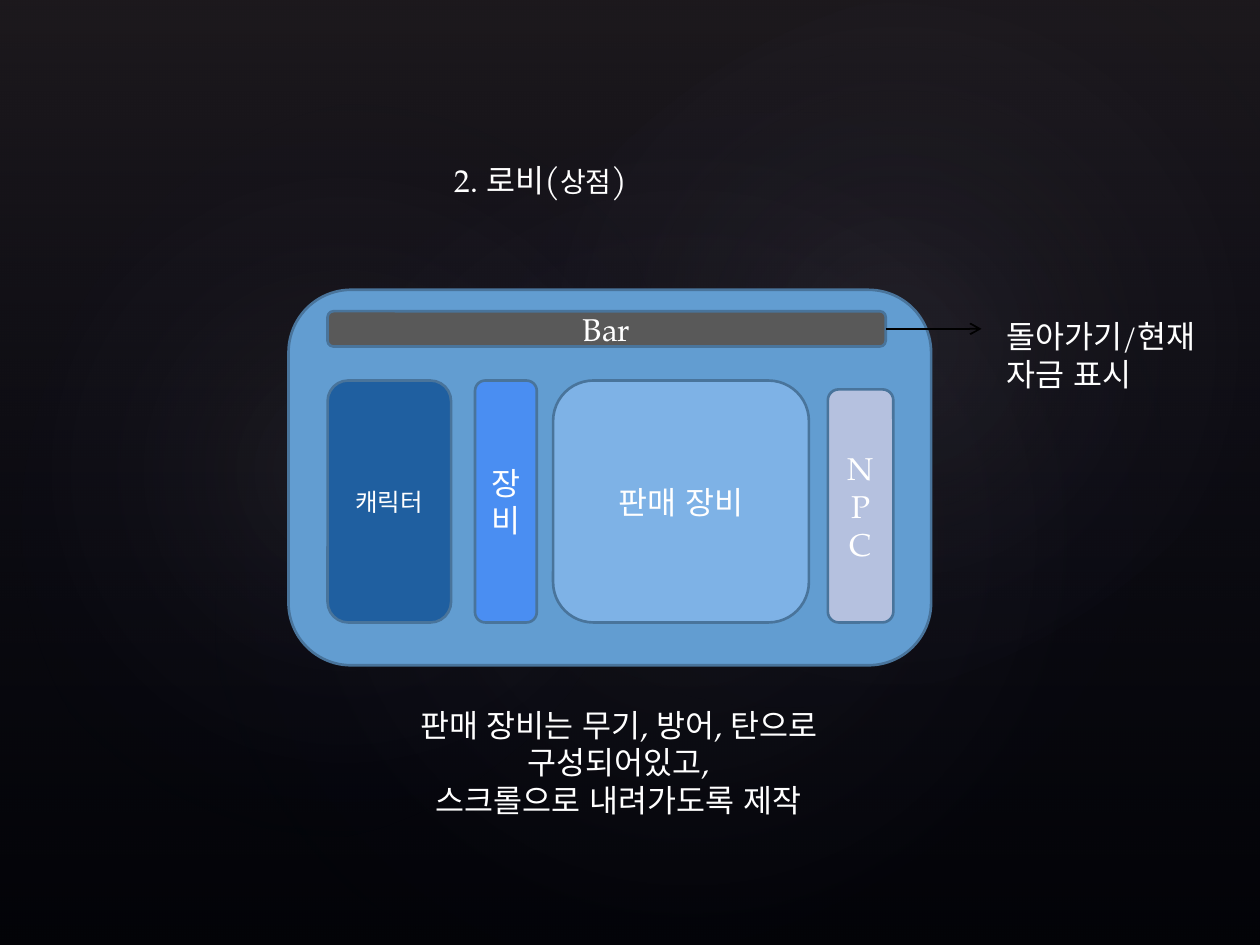
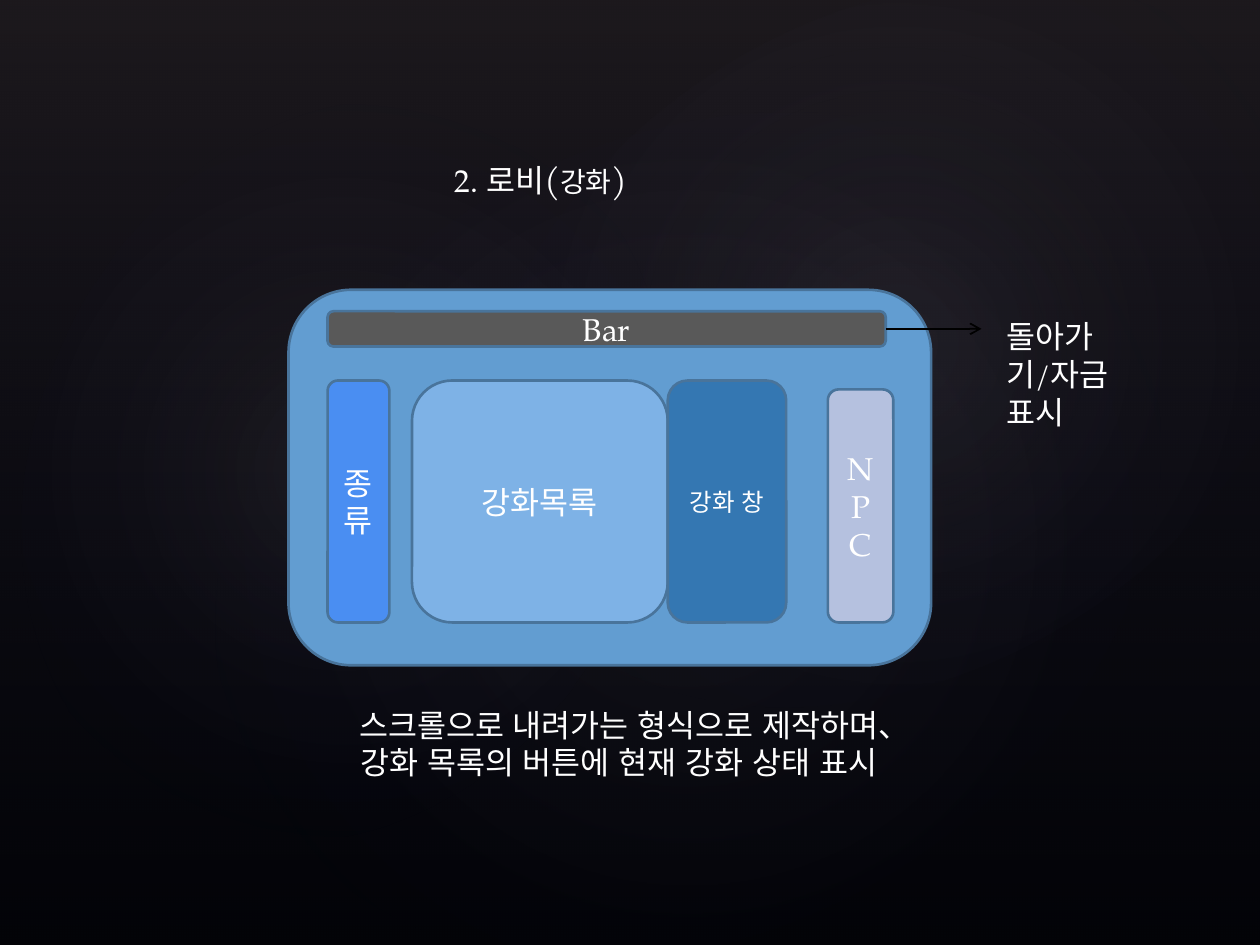
from lxml import etree
from pptx import Presentation
from pptx.dml.color import RGBColor
from pptx.enum.lang import MSO_LANGUAGE_ID
from pptx.enum.shapes import MSO_CONNECTOR, MSO_SHAPE
from pptx.enum.text import MSO_ANCHOR, MSO_AUTO_SIZE, PP_ALIGN
from pptx.oxml import parse_xml
from pptx.oxml.ns import nsdecls, qn
from pptx.util import Inches, Pt

LEFT, CENTER = PP_ALIGN.LEFT, PP_ALIGN.CENTER
TOP, MIDDLE = MSO_ANCHOR.TOP, MSO_ANCHOR.MIDDLE
RECT, OVAL, ROUNDED = MSO_SHAPE.RECTANGLE, MSO_SHAPE.OVAL, MSO_SHAPE.ROUNDED_RECTANGLE
KOREAN = MSO_LANGUAGE_ID.KOREAN

FONT = "TeX Gyre Pagella"
BLACK = RGBColor(0x00, 0x00, 0x00)
WHITE = RGBColor(0xFF, 0xFF, 0xFF)
OUTLINE = RGBColor(0x49, 0x74, 0x9B)
SCREEN = RGBColor(0x62, 0x9D, 0xD1)
GRAY = RGBColor(0x59, 0x59, 0x59)
NAVY = RGBColor(0x1F, 0x5F, 0xA0)
STEEL = RGBColor(0x34, 0x77, 0xB2)
BRIGHT = RGBColor(0x4A, 0x8E, 0xF2)
SKY = RGBColor(0x7E, 0xB2, 0xE6)
LILAC = RGBColor(0xB5, 0xC1, 0xDF)

PANEL_TOP, PANEL_HEIGHT = 3.02, 1.92
BAR_LEFT, BAR_WIDTH = 2.6, 4.43
BAR_RIGHT = BAR_LEFT + BAR_WIDTH
ARROW_Y = 2.61

# Panels: label, left, top, width, height, fill, text size
SHARED_PANELS = [
    ("", 2.29, 2.3, 5.1, 2.98, SCREEN, 18),
    ("Bar", BAR_LEFT, 2.47, BAR_WIDTH, 0.28, GRAY, 18),
    ("NPC", 6.57, 3.09, 0.52, 1.85, LILAC, 18),
]
# Columns: label, left, width, fill, text size
LOBBY_SCREENS = [
    {
        "name": "상점",
        "columns": [
            ("캐릭터", 2.6, 0.98, NAVY, 14),
            ("장비", 3.77, 0.49, BRIGHT, 18),
            ("판매 장비", 4.39, 2.03, SKY, 18),
        ],
        "caption": ["판매 장비는 무기, 방어, 탄으로 구성되어있고,", "스크롤으로 내려가도록 제작"],
        "bar_note": ["돌아가기/현재", "자금 표시"],
        "note_width": 1.86,
        "note_right_inset": 0.05,
    },
    {
        "name": "강화",
        "columns": [
            ("종류", 2.6, 0.49, BRIGHT, 18),
            ("강화목록", 3.27, 2.03, SKY, 18),
            ("강화 창", 5.3, 0.94, STEEL, 14),
        ],
        "caption": ["스크롤으로 내려가는 형식으로 제작하며、강화 목록의 버튼에 현재 강화 상태 표시"],
        "bar_note": ["돌아가기/자금", "표시"],
        "note_width": 1.8,
        "note_right_inset": 0.73,
    },
]
# Backdrop: preset, left, top, width, height, rotation, stops (position, colour, opacity)
GLOW = [(0, "C4BCC6", 8), (58, "242852", 0)]
BACKDROP = [
    (RECT, 0, 0, 10, 7.5, 0, [(0, "504652", 36), (100, "242852", 10)]),
    (OVAL, 1.5, 1.14, 7.92, 6.24, 328.7, [(0, "C4BCC6", 7), (58, "242852", 0)]),
    (OVAL, -0.3, 1.28, 6.06, 4.9, 294.3, GLOW),
    (OVAL, 3.58, 0.13, 7.09, 5.2, 328.7, GLOW),
]


def write(frame, paragraphs, align, anchor):
    """Fill a text frame; each paragraph is a list of (text, size) runs."""
    frame.word_wrap = True
    frame.auto_size = MSO_AUTO_SIZE.NONE
    frame.vertical_anchor = anchor
    for i, runs in enumerate(paragraphs):
        paragraph = frame.paragraphs[0] if i == 0 else frame.add_paragraph()
        paragraph.alignment = align
        for text, size in runs:
            run = paragraph.add_run()
            run.text = text
            run.font.name = FONT
            run.font.size = Pt(size)
            run.font.color.rgb = WHITE
            run.font.language_id = KOREAN


def add_plain_shape(slide, preset, left, top, width, height):
    shape = slide.shapes.add_shape(preset, Inches(left), Inches(top), Inches(width), Inches(height))
    shape.shadow.inherit = False
    return shape


prs = Presentation()
prs.slide_width, prs.slide_height = Inches(10), Inches(7.5)
layout = prs.slide_layouts[5]
slides = [prs.slides.add_slide(layout) for _ in LOBBY_SCREENS]

# Shared backdrop: drawn once, then moved behind everything on the layout
background = prs.slide_master.background.fill
background.solid()
background.fore_color.rgb = BLACK
for depth, (preset, left, top, width, height, rotation, stops) in enumerate(BACKDROP):
    light = add_plain_shape(slides[0], preset, left, top, width, height)
    light.rotation = rotation
    light.line.fill.background()
    stop_xml = "".join(
        f'<a:gs pos="{position * 1000}"><a:srgbClr val="{colour}">'
        f'<a:alpha val="{opacity * 1000}"/></a:srgbClr></a:gs>'
        for position, colour, opacity in stops
    )
    if preset == OVAL:
        direction = '<a:path path="circle"><a:fillToRect l="50000" t="50000" r="50000" b="50000"/></a:path>'
    else:
        direction = '<a:lin ang="5400000" scaled="0"/>'
    gradient = parse_xml(
        f'<a:gradFill {nsdecls("a")} rotWithShape="1"><a:gsLst>{stop_xml}</a:gsLst>{direction}</a:gradFill>'
    )
    light.element.spPr.find(qn("a:prstGeom")).addnext(gradient)
    layout.shapes.element.insert(2 + depth, light.element)

for slide, screen in zip(slides, LOBBY_SCREENS):
    title = slide.shapes.title
    title.left, title.top = Inches(3.51), Inches(1.2)
    title.width, title.height = Inches(3.8), Inches(0.44)
    write(title.text_frame, [[("2. 로비", 18), ("(", 20), (screen["name"], 16), (")", 20)]], LEFT, TOP)

    columns = [
        (label, left, PANEL_TOP, width, PANEL_HEIGHT, fill, size)
        for label, left, width, fill, size in screen["columns"]
    ]
    for label, left, top, width, height, fill, size in SHARED_PANELS + columns:
        panel = add_plain_shape(slide, ROUNDED, left, top, width, height)
        panel.fill.solid()
        panel.fill.fore_color.rgb = fill
        panel.line.color.rgb = OUTLINE
        panel.line.width = Pt(1.5)
        if label:
            write(panel.text_frame, [[(label, size)]], CENTER, MIDDLE)

    arrow = slide.shapes.add_connector(
        MSO_CONNECTOR.STRAIGHT, Inches(BAR_RIGHT), Inches(ARROW_Y), Inches(7.79), Inches(ARROW_Y)
    )
    arrow.line.color.rgb = BLACK
    arrow.line.width = Pt(1)
    etree.SubElement(arrow.line._get_or_add_ln(), qn("a:tailEnd"), type="arrow")
    etree.SubElement(arrow.element.spPr, qn("a:effectLst"))

    caption = slide.shapes.add_textbox(Inches(2.75), Inches(5.55), Inches(4.32), Inches(1.01))
    write(caption.text_frame, [[(line, 18)] for line in screen["caption"]], CENTER, TOP)

    bar_note = slide.shapes.add_textbox(
        Inches(7.89), Inches(2.47), Inches(screen["note_width"]), Inches(0.71)
    )
    bar_note.text_frame.margin_right = Inches(screen["note_right_inset"])
    write(bar_note.text_frame, [[(line, 18)] for line in screen["bar_note"]], LEFT, TOP)

prs.save("out.pptx")
